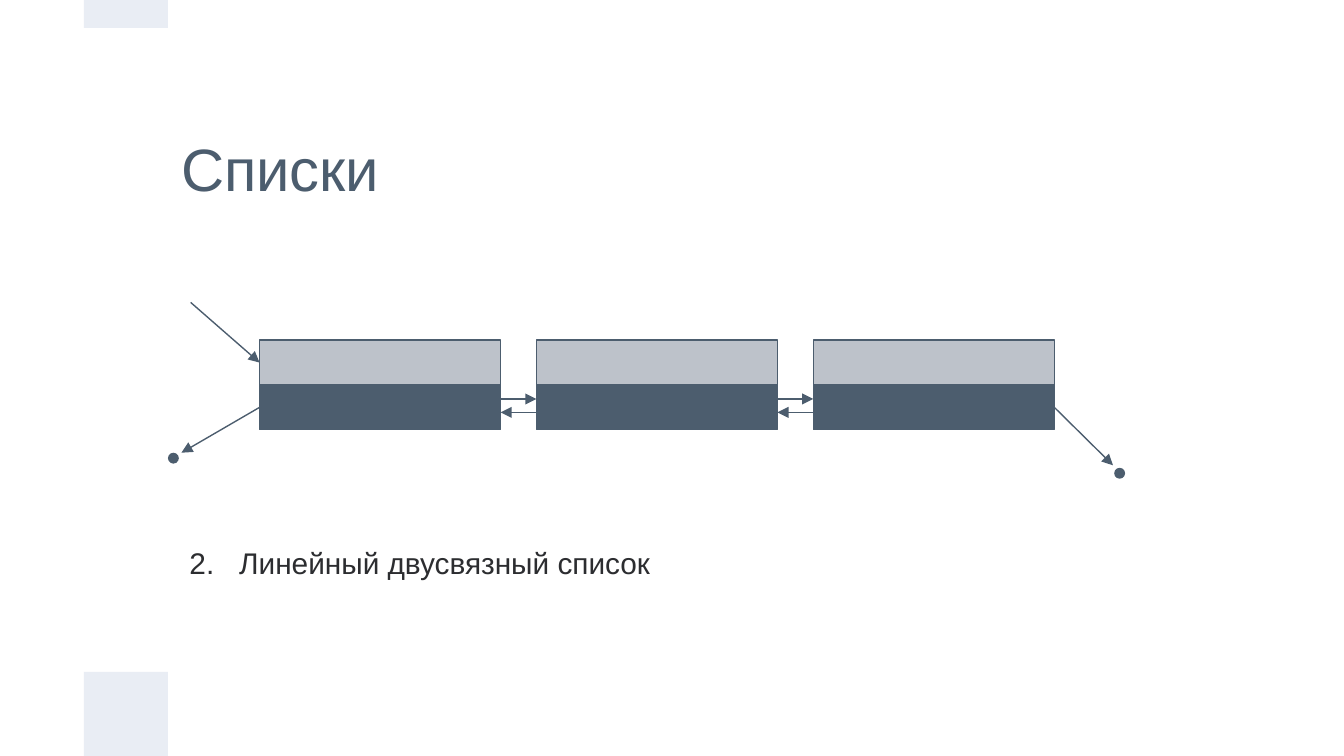
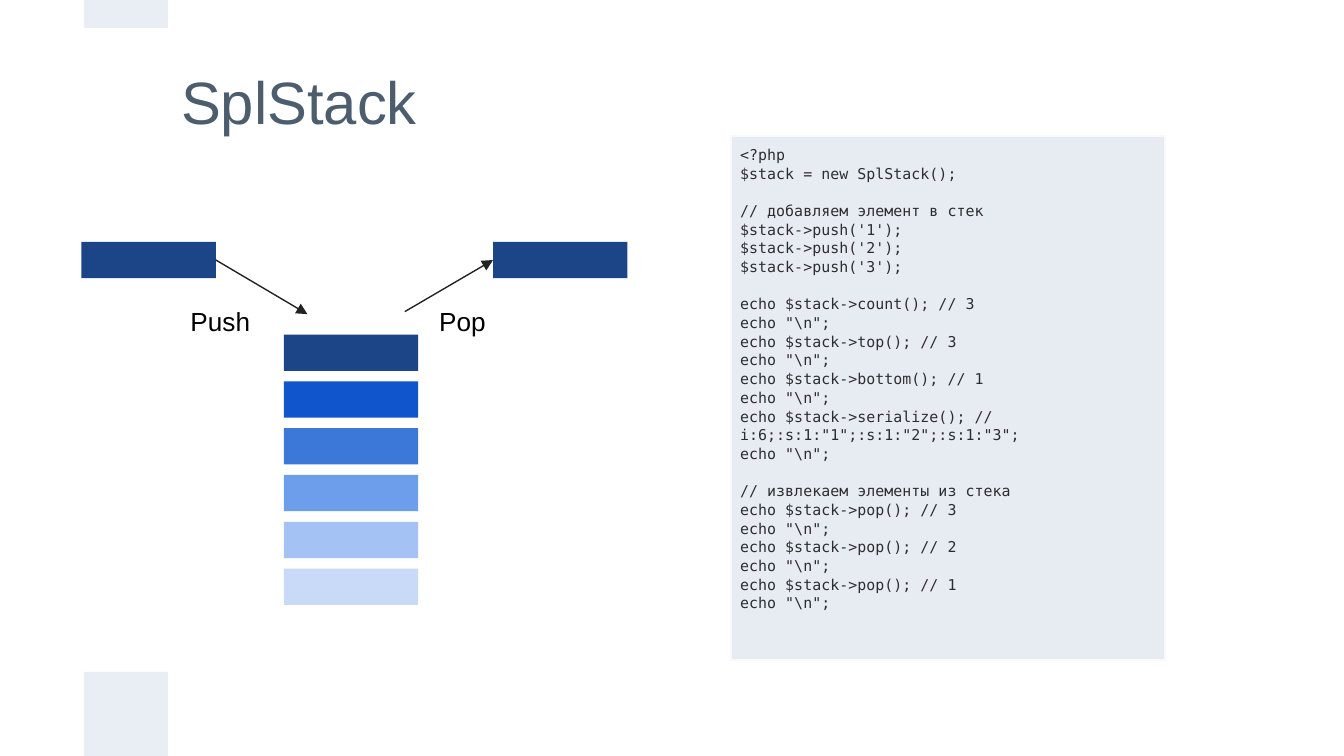
"""Two slides on lists and stacks. Lengths are cells of a 160 x 90 grid."""
from dataclasses import dataclass
from typing import Any

import lxml.etree
import pptx
import pptx.dml.color
import pptx.enum.shapes
import pptx.enum.text
import pptx.oxml
import pptx.oxml.ns
import pptx.util

COLS, ROWS = 160, 90
WIDE, HIGH = pptx.util.Inches(10), pptx.util.Inches(5.625)
SLATE, GREY, BAND, INK = "4C5D6E", "BDC2CA", "E9EDF4", "2C2D30"
BLACK, EDGE, PANEL, ARROW = "000000", "F9F9FB", "E7ECF3", "222222"
BLUES = ["1C4587", "1155CC", "3C78D8", "6D9EEB", "A4C2F4", "C9DAF8"]
SANS, MONO = "Arial", "DejaVu Sans Mono"
RECT = pptx.enum.shapes.MSO_SHAPE.RECTANGLE
OVAL = pptx.enum.shapes.MSO_SHAPE.OVAL
Point = tuple[float, float]


@dataclass(frozen=True)
class Box:
    """A place on the grid."""
    left: float
    top: float
    width: float
    height: float

    @property
    def right(self) -> float:
        """Right edge."""
        return self.left + self.width

    @property
    def mid(self) -> float:
        """Middle row."""
        return self.top + self.height / 2

    def place(self) -> tuple[int, int, int, int]:
        """Left, top, width and height in EMU."""
        return (*emu(self.left, self.top), *emu(self.width, self.height))


@dataclass(frozen=True)
class Style:
    """Look of a paragraph."""
    size: float
    color: str
    face: str = SANS


TITLE, BODY = Style(32, SLATE), Style(16, INK)
LABEL, CODE = Style(14, BLACK), Style(8, INK, MONO)

BANDS = [Box(10, 80, 10, 10), Box(10, 0, 10, 3.33)]
NODES = [Box(30.9 + 32.96 * i, 40.5, 28.7, 5.33) for i in range(3)]
TILES = [Box(33.8, 39.84 + 5.57 * i, 16, 4.32) for i in range(len(BLUES))]
PUSHED, POPPED = Box(9.7, 28.8, 16, 4.32), Box(58.7, 28.8, 16, 4.32)

SOURCE = r"""<?php
$stack = new SplStack();

// добавляем элемент в стек
$stack->push('1');
$stack->push('2');
$stack->push('3');

echo $stack->count(); // 3
echo "\n";
echo $stack->top(); // 3
echo "\n";
echo $stack->bottom(); // 1
echo "\n";
echo $stack->serialize(); // i:6;:s:1:"1";:s:1:"2";:s:1:"3";
echo "\n";

// извлекаем элементы из стека
echo $stack->pop(); // 3
echo "\n";
echo $stack->pop(); // 2
echo "\n";
echo $stack->pop(); // 1
echo "\n";"""


def emu(col: float, row: float) -> Point:
    """Turn grid columns and rows into EMU."""
    return round(col * WIDE / COLS), round(row * HIGH / ROWS)


def paint(color: str) -> pptx.dml.color.RGBColor:
    """Colour from a hex string."""
    return pptx.dml.color.RGBColor.from_string(color)


def node(parent: Any, tag: str, **attrs: str) -> Any:
    """Add an XML child such as a:buClr."""
    return lxml.etree.SubElement(parent, pptx.oxml.ns.qn(tag), attrs)


def dress(para: Any, style: Style) -> None:
    """Set the font of a paragraph."""
    font = para.font
    font.size, font.name = pptx.util.Pt(style.size), style.face
    font.color.rgb = paint(style.color)


def shape(slide: Any, box: Box, fill: str, line: str = "",
          kind: Any = RECT) -> None:
    """Draw a flat shape, outlined if a line colour is given."""
    item = slide.shapes.add_shape(kind, *box.place())
    item.shadow.inherit = False
    item.fill.solid()
    item.fill.fore_color.rgb = paint(fill)
    if line:
        item.line.color.rgb = paint(line)
        item.line.width = pptx.util.Pt(0.75)
    else:
        item.line.fill.background()


def arrow(slide: Any, start: Point, end: Point, color: str = SLATE) -> None:
    """Draw an arrow that points at its end."""
    kind = pptx.enum.shapes.MSO_CONNECTOR.STRAIGHT
    item = slide.shapes.add_connector(kind, *emu(*start), *emu(*end))
    item.line.color.rgb = paint(color)
    item.line.width = pptx.util.Pt(0.75)
    node(item.line._get_or_add_ln(), "a:tailEnd", type="triangle")
    node(item._element.spPr, "a:effectLst")


def text(slide: Any, box: Box, words: str, style: Style,
         inset: float = 0.1, center: bool = False) -> Any:
    """Write one paragraph in a text box and return it."""
    frame = slide.shapes.add_textbox(*box.place()).text_frame
    frame.word_wrap = True
    frame.margin_left = frame.margin_right = pptx.util.Inches(inset)
    frame.margin_top = frame.margin_bottom = pptx.util.Inches(inset)
    anchor = pptx.enum.text.MSO_ANCHOR
    frame.vertical_anchor = anchor.MIDDLE if center else anchor.TOP
    para = frame.paragraphs[0]
    para.text = words
    dress(para, style)
    return para


def count(para: Any, start: int) -> None:
    """Number a paragraph, with a hanging indent."""
    para.space_before = pptx.util.Pt(10)
    props = para._p.get_or_add_pPr()
    props.set("marL", str(pptx.util.Inches(0.5)))
    props.set("indent", str(pptx.util.Inches(-0.37)))
    tint = pptx.oxml.parse_xml(
        f'<a:buClr {pptx.oxml.ns.nsdecls("a")}><a:srgbClr val="{INK}"/></a:buClr>')
    font = props.find(pptx.oxml.ns.qn("a:defRPr"))
    font.addprevious(tint)
    mark = node(props, "a:buAutoNum", type="arabicPeriod", startAt=str(start))
    font.addprevious(mark)


def edge(cell: Any, color: str) -> None:
    """Draw a one-point border round a cell."""
    props = cell._tc.get_or_add_tcPr()
    for spot, side in enumerate(("a:lnL", "a:lnR", "a:lnT", "a:lnB")):
        line = node(props, side, w=str(pptx.util.Pt(1)))
        node(node(line, "a:solidFill"), "a:srgbClr", val=color)
        props.insert(spot, line)


def listing(slide: Any, box: Box, source: str) -> None:
    """Show code in a one-cell table, with a gap before each block."""
    table = slide.shapes.add_table(1, 1, *box.place()).table
    table.first_row = table.horz_banding = False
    cell = table.cell(0, 0)
    cell.fill.solid()
    cell.fill.fore_color.rgb = paint(PANEL)
    edge(cell, EDGE)
    cell.margin_left = cell.margin_right = pptx.util.Inches(0.07)
    cell.margin_top = cell.margin_bottom = pptx.util.Inches(0.07)
    frame = cell.text_frame
    para = frame.paragraphs[0]
    for part, block in enumerate(source.split("\n\n")):
        for row, line in enumerate(block.split("\n")):
            if part or row:
                para = frame.add_paragraph()
            para.text = line
            para.line_spacing = 1.07
            if part and not row:
                para.space_before = pptx.util.Pt(10)
            dress(para, CODE)


def start(deck: Any, title: str, box: Box) -> Any:
    """Add a slide with its bands and title."""
    slide = deck.slides.add_slide(deck.slide_layouts[6])
    for band in BANDS:
        shape(slide, band, BAND)
    text(slide, box, title, TITLE, center=True)
    return slide


def lists(deck: Any) -> None:
    """Slide with a doubly linked list."""
    slide = start(deck, "Списки", Box(20, 10, 120, 20))
    first, last = NODES[0], NODES[-1]
    for box in NODES:
        low = Box(box.left, box.top + box.height, box.width, box.height)
        shape(slide, box, GREY, SLATE)
        shape(slide, low, SLATE, SLATE)
    for prior, after in zip(NODES, NODES[1:]):
        arrow(slide, (prior.right, 47.5), (after.left, 47.5))
        arrow(slide, (after.left, 49.1), (prior.right, 49.1))
    arrow(slide, (22.7, 36), (first.left, first.mid))
    arrow(slide, (first.left, 48.5), (21.6, 53.9))
    arrow(slide, (last.right, 48.5), (132.5, 55.4))
    for left, top in ((20, 53.9), (132.65, 55.7)):
        shape(slide, Box(left, top, 1.3, 1.3), SLATE, kind=OVAL)
    para = text(slide, Box(20, 61, 120, 12), "Линейный двусвязный список",
                BODY, 0.03, True)
    count(para, 2)


def stack(deck: Any) -> None:
    """Slide with a stack and its code."""
    slide = start(deck, "SplStack", Box(20, 4.64, 120, 14.6))
    for box, color in zip(TILES, BLUES):
        shape(slide, box, color)
    for box in (PUSHED, POPPED):
        shape(slide, box, BLUES[0])
    arrow(slide, (PUSHED.right, PUSHED.mid), (36.6, 37.4), ARROW)
    arrow(slide, (48.2, 37.1), (POPPED.left, POPPED.mid), ARROW)
    text(slide, Box(21.1, 34.7, 11.7, 6.4), "Push", LABEL)
    text(slide, Box(50.7, 34.7, 9.6, 6.4), "Pop", LABEL)
    listing(slide, Box(87, 16.2, 51.7, 62.4), SOURCE)


def main() -> None:
    """Build and save the deck."""
    deck = pptx.Presentation()
    deck.slide_width, deck.slide_height = WIDE, HIGH
    lists(deck)
    stack(deck)
    deck.save("out.pptx")


main()
